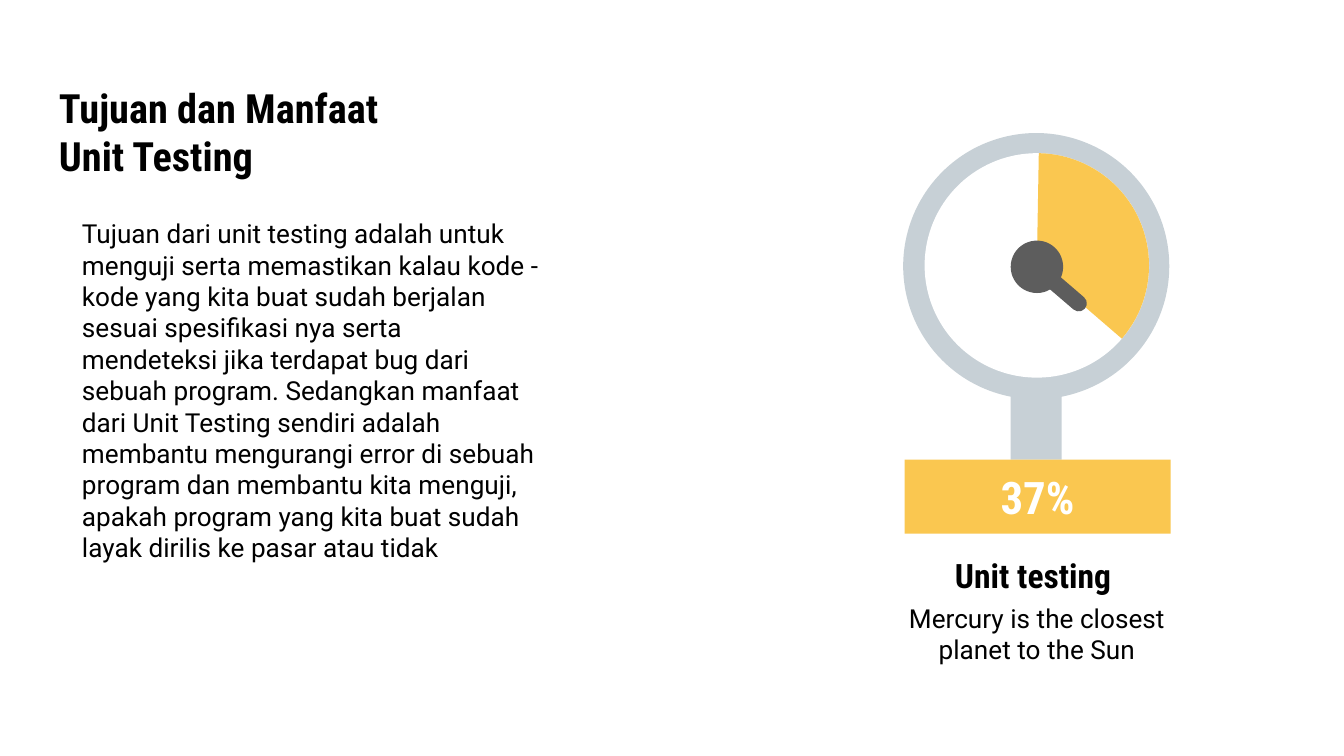
"""Build a slide on the goals and benefits of unit testing with a gauge."""
from dataclasses import dataclass

from pptx import Presentation
from pptx.dml.color import RGBColor
from pptx.enum.shapes import MSO_SHAPE
from pptx.enum.text import MSO_ANCHOR, PP_ALIGN
from pptx.util import Inches, Pt


@dataclass(frozen=True)
class Theme:
    """Colours, fonts and type sizes of the slide."""
    black: str = "000000"
    white: str = "FFFFFF"
    grey: str = "C7D0D6"
    yellow: str = "FAC750"
    dark: str = "5D5D5D"
    heading_font: str = "Roboto Condensed"
    body_font: str = "Roboto"
    title_size: float = 21.6
    body_size: float = 14
    label_size: float = 18
    value_size: float = 24


THEME = Theme()
ANGLE_UNIT = 0.6
BODY = (
    "Tujuan dari unit testing adalah untuk menguji serta memastikan kalau kode - "
    "kode yang kita buat sudah berjalan sesuai spesifikasi nya serta mendeteksi "
    "jika terdapat bug dari sebuah program. Sedangkan manfaat dari Unit Testing "
    "sendiri adalah membantu mengurangi error di sebuah program dan membantu kita "
    "menguji, apakah program yang kita buat sudah layak dirilis ke pasar atau tidak"
)


def write_text(shape, text, size, color=THEME.black, heading=False,
               anchor=MSO_ANCHOR.MIDDLE, align=PP_ALIGN.CENTER, indent=0):
    """Fill a shape with one styled paragraph."""
    frame = shape.text_frame
    frame.word_wrap = True
    frame.vertical_anchor = anchor
    frame.margin_left = Inches(0.1 + indent)
    frame.margin_right = frame.margin_top = frame.margin_bottom = Inches(0.1)
    paragraph = frame.paragraphs[0]
    paragraph.text = text
    paragraph.alignment = align
    paragraph.font.name = THEME.heading_font if heading else THEME.body_font
    paragraph.font.size = Pt(size)
    paragraph.font.bold = heading
    paragraph.font.color.rgb = RGBColor.from_string(color)


def add_text(slide, box, text, size, **style):
    """Add a text box with one styled paragraph."""
    write_text(slide.shapes.add_textbox(*map(Inches, box)), text, size, **style)


def add_filled(slide, kind, box, color):
    """Add a flat preset shape without an outline."""
    shape = slide.shapes.add_shape(kind, *map(Inches, box))
    shape.shadow.inherit = False
    shape.fill.solid()
    shape.fill.fore_color.rgb = RGBColor.from_string(color)
    shape.line.fill.background()
    return shape


def add_gauge(slide):
    """Draw the stand, ring, dial, filled sector and pointer."""
    dial = (6.88, 1.14, 1.67, 1.67)
    add_filled(slide, MSO_SHAPE.RECTANGLE, (7.52, 2.87, 0.38, 0.55), THEME.grey)
    add_filled(slide, MSO_SHAPE.OVAL, (6.72, 0.99, 1.98, 1.98), THEME.grey)
    add_filled(slide, MSO_SHAPE.OVAL, dial, THEME.white)
    sector = add_filled(slide, MSO_SHAPE.PIE, dial, THEME.yellow)
    for index, degrees in enumerate((271.02, 40.75)):
        sector.adjustments[index] = degrees * ANGLE_UNIT
    value = add_filled(slide, MSO_SHAPE.RECTANGLE, (6.73, 3.42, 1.98, 0.55), THEME.yellow)
    write_text(value, "37%", THEME.value_size, THEME.white, heading=True)
    add_filled(slide, MSO_SHAPE.OVAL, (7.52, 1.79, 0.39, 0.39), THEME.dark)
    pointer = add_filled(slide, MSO_SHAPE.ROUNDED_RECTANGLE, (7.83, 1.9, 0.12, 0.48), THEME.dark)
    pointer.adjustments[0] = 0.5
    pointer.rotation = 130.6


def main():
    """Build and save the presentation."""
    presentation = Presentation()
    presentation.slide_width = Inches(10)
    presentation.slide_height = Inches(10 * 9 / 16)
    slide = presentation.slides.add_slide(presentation.slide_layouts[6])
    add_text(slide, (0.34, 0.61, 3, 0.83), "Tujuan dan Manfaat Unit Testing",
             THEME.title_size, heading=True, anchor=MSO_ANCHOR.BOTTOM, align=PP_ALIGN.LEFT)
    add_text(slide, (0.34, 1.52, 3.77, 3.48), BODY, THEME.body_size,
             anchor=MSO_ANCHOR.TOP, align=PP_ALIGN.LEFT, indent=0.17)
    add_gauge(slide)
    add_text(slide, (6.59, 4.13, 2.25, 0.3), "Unit testing ", THEME.label_size, heading=True)
    add_text(slide, (6.59, 4.44, 2.25, 0.55), "Mercury is the closest planet to the Sun",
             THEME.body_size)
    presentation.save("out.pptx")


if __name__ == "__main__":
    main()
